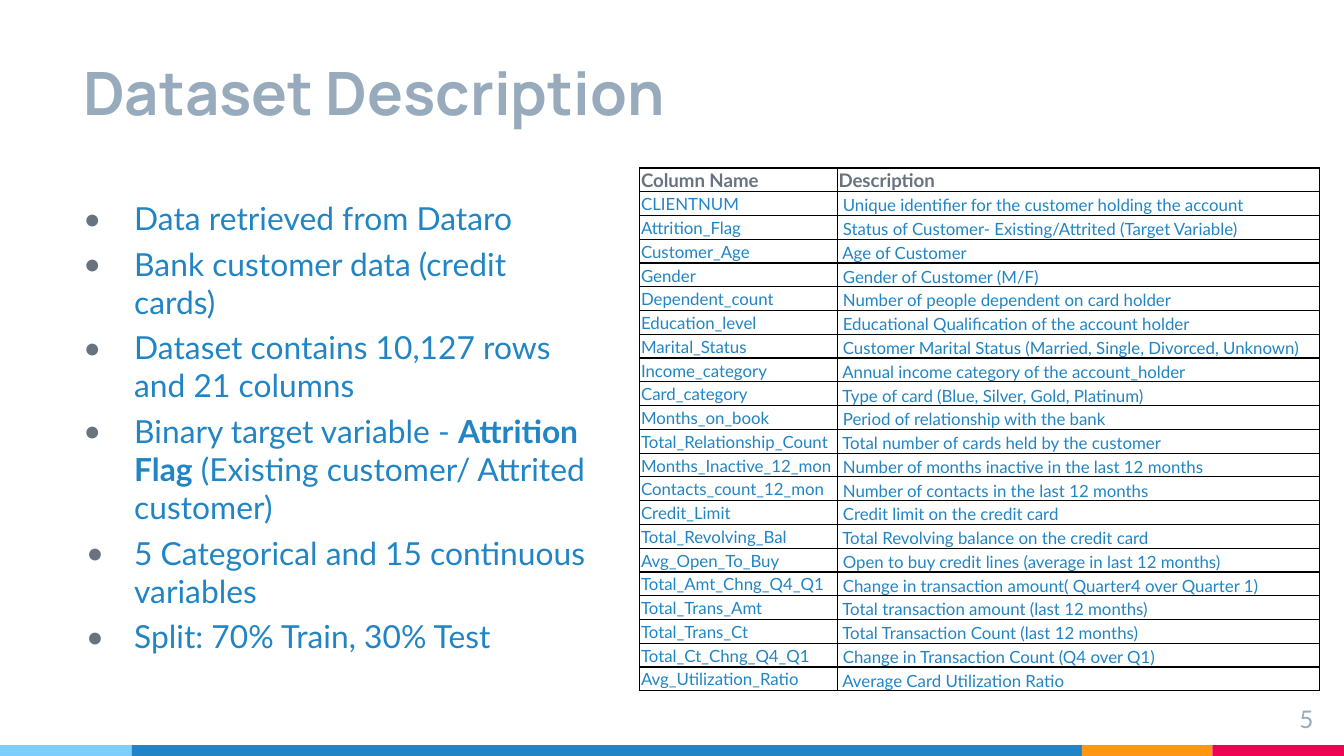
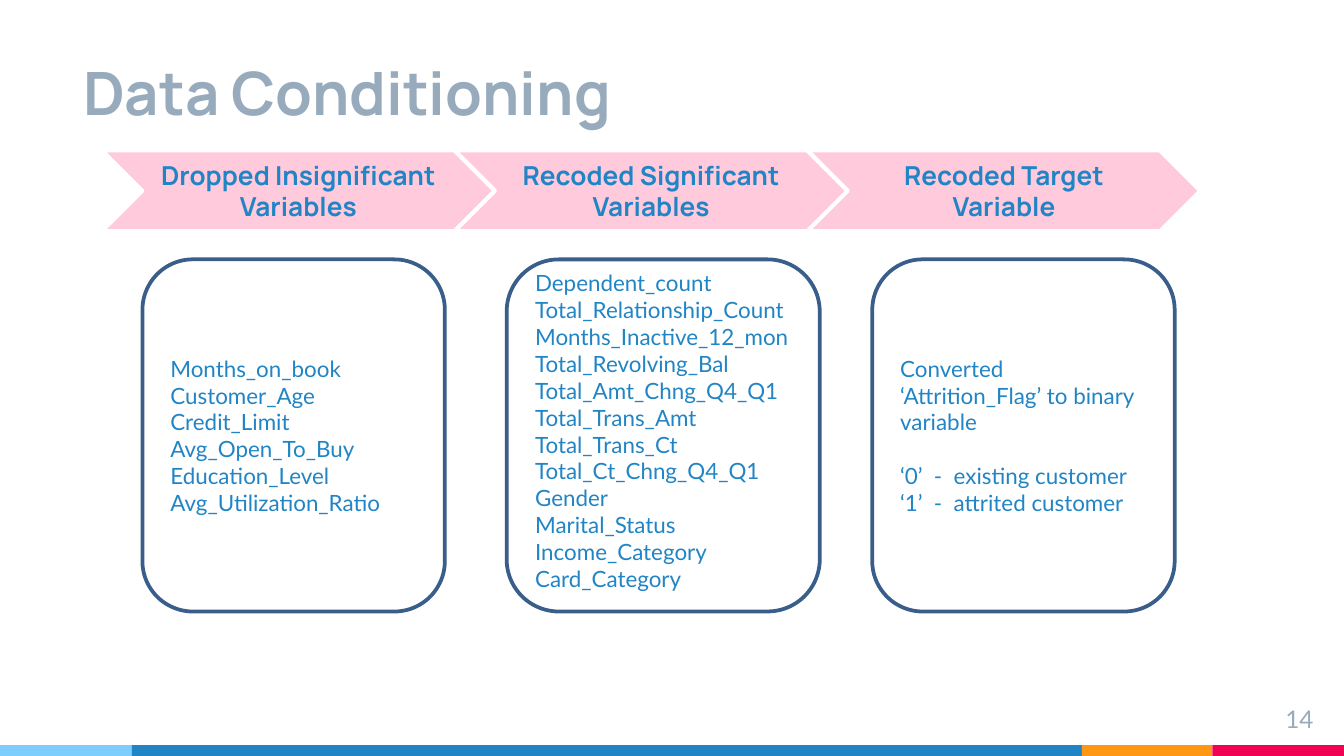
from dataclasses import dataclass

from lxml import etree
from pptx import Presentation
from pptx.dml.color import RGBColor
from pptx.enum import shapes, text
from pptx.oxml import ns
from pptx.util import Inches, Pt


@dataclass(frozen=True)
class Theme:
    blue: str = "2185C5"
    sky: str = "7ECEFD"
    orange: str = "FF9715"
    red: str = "F20253"
    mist: str = "97ABBC"
    slate: str = "677480"
    pink: str = "FFCADC"
    navy: str = "395E89"
    white: str = "FFFFFF"
    black: str = "000000"
    body: str = "Lato"
    heading: str = "Manrope"
    title_size: int = 32
    bullet_size: int = 17
    step_size: int = 14
    number_size: int = 13
    box_size: int = 12
    header_size: int = 10
    cell_size: int = 9


THEME = Theme()

# Shared frame, 16:9
SLIDE_SIZE = (10, 10 * 9 / 16)
BAND = [(THEME.sky, 0.98), (THEME.blue, 7.07), (THEME.orange, 0.97), (THEME.red, 0.98)]
BAND_HEIGHT = 0.08

# Dataset slide: each bullet is (hanging indent, [(words, bold)])
DATASET_BULLETS = [
    (0.38, [("Data retrieved from Dataro", False)]),
    (0.38, [("Bank customer data (credit cards)", False)]),
    (0.38, [("Dataset contains 10,127 rows and 21 columns", False)]),
    (0.38, [("Binary target variable - ", False), ("Attrition Flag", True),
            (" (Existing customer/ Attrited customer)", False)]),
    (0.36, [("5 Categorical and 15 continuous variables", False)]),
    (0.36, [("Split: 70% Train, 30% Test", False)]),
]
DATASET_COLUMNS = [
    ("Column Name", "Description"),
    ("CLIENTNUM", " Unique identifier for the customer holding the account"),
    ("Attrition_Flag", " Status of Customer- Existing/Attrited (Target Variable)"),
    ("Customer_Age", " Age of Customer"),
    ("Gender", " Gender of Customer (M/F)"),
    ("Dependent_count", " Number of people dependent on card holder"),
    ("Education_level", " Educational Qualification of the account holder"),
    ("Marital_Status", " Customer Marital Status (Married, Single, Divorced, Unknown)"),
    ("Income_category", " Annual income category of the account_holder"),
    ("Card_category", " Type of card (Blue, Silver, Gold, Platinum)"),
    ("Months_on_book", " Period of relationship with the bank"),
    ("Total_Relationship_Count", " Total number of cards held by the customer"),
    ("Months_Inactive_12_mon", " Number of months inactive in the last 12 months"),
    ("Contacts_count_12_mon", " Number of contacts in the last 12 months"),
    ("Credit_Limit", " Credit limit on the credit card"),
    ("Total_Revolving_Bal", " Total Revolving balance on the credit card"),
    ("Avg_Open_To_Buy", " Open to buy credit lines (average in last 12 months)"),
    ("Total_Amt_Chng_Q4_Q1", " Change in transaction amount( Quarter4 over Quarter 1)"),
    ("Total_Trans_Amt", " Total transaction amount (last 12 months)"),
    ("Total_Trans_Ct", " Total Transaction Count (last 12 months)"),
    ("Total_Ct_Chng_Q4_Q1", " Change in Transaction Count (Q4 over Q1)"),
    ("Avg_Utilization_Ratio", " Average Card Utilization Ratio"),
]
COLUMN_WIDTHS = (1.47, 3.59)
TABLE_HEIGHT = 3.89

# Conditioning slide: each step has a box made of groups of lines
CONDITIONING_STEPS = [
    {"step": "Dropped Insignificant Variables", "left": 1.06, "width": 2.25, "bottom": 0.05,
     "groups": [["Months_on_book", "Customer_Age", "Credit_Limit", "Avg_Open_To_Buy",
                 "Education_Level", "Avg_Utilization_Ratio"]]},
    {"step": "Recoded Significant Variables", "left": 3.77, "width": 2.33, "bottom": 0.12,
     "groups": [["Dependent_count", "Total_Relationship_Count", "Months_Inactive_12_mon",
                 "Total_Revolving_Bal", "Total_Amt_Chng_Q4_Q1", "Total_Trans_Amt",
                 "Total_Trans_Ct", "Total_Ct_Chng_Q4_Q1", "Gender", "Marital_Status",
                 "Income_Category", "Card_Category"]]},
    {"step": "Recoded Target Variable", "left": 6.49, "width": 2.25, "bottom": 0.05,
     "groups": [["Converted ‘Attrition_Flag’ to binary variable"],
                ["‘0’  -  existing customer", "‘1’  -  attrited customer"]]},
]
STEP_LEFT, STEP_SPAN = 0.76, 5.25
STEP_PITCH = STEP_SPAN / (len(CONDITIONING_STEPS) - 1)
GROUP_GAP = 14.4


# Helpers
def assign(target, values):
    for name, value in values.items():
        setattr(target, name, value)


def margins(left, top, right, bottom):
    sides = ("left", "top", "right", "bottom")
    return {f"margin_{side}": Inches(inset)
            for side, inset in zip(sides, (left, top, right, bottom))}


def write(paragraph, words, size, color, face=THEME.body, bold=False):
    run = paragraph.add_run()
    run.text = words
    assign(run.font, {"size": Pt(size), "name": face, "bold": bold})
    run.font.color.rgb = RGBColor.from_string(color)


def next_paragraph(frame, index):
    return frame.add_paragraph() if index else frame.paragraphs[0]


def add_text_box(slide, at, insets, **layout):
    frame = slide.shapes.add_textbox(*map(Inches, at)).text_frame
    assign(frame, {"word_wrap": True, **margins(*insets), **layout})
    return frame


def add_panel(slide, preset, at, fill, line=None, insets=(0.1,) * 4):
    panel = slide.shapes.add_shape(preset, *map(Inches, at))
    panel.shadow.inherit = False
    panel.fill.solid()
    panel.fill.fore_color.rgb = RGBColor.from_string(fill)
    if line:
        panel.line.color.rgb = RGBColor.from_string(line)
        panel.line.width = Pt(2)
    else:
        panel.line.fill.background()
    assign(panel.text_frame, {"word_wrap": True, "vertical_anchor": text.MSO_ANCHOR.MIDDLE,
                              **margins(*insets)})
    return panel


def add_bullet(paragraph, hang):
    props = paragraph._p.get_or_add_pPr()
    props.set("marL", str(Inches(0.38)))
    props.set("indent", str(-Inches(hang)))
    color = etree.SubElement(props, ns.qn("a:buClr"))
    etree.SubElement(color, ns.qn("a:srgbClr"), val=THEME.slate)
    etree.SubElement(props, ns.qn("a:buFont"), typeface=THEME.body)
    etree.SubElement(props, ns.qn("a:buChar"), char="•")


def add_borders(cell):
    props = cell._tc.get_or_add_tcPr()
    for side in ("lnL", "lnR", "lnT", "lnB"):
        border = etree.SubElement(props, ns.qn(f"a:{side}"), w=str(Pt(0.75)))
        fill = etree.SubElement(border, ns.qn("a:solidFill"))
        etree.SubElement(fill, ns.qn("a:srgbClr"), val=THEME.black)


def add_framed_slide(deck, title, number):
    slide = deck.slides.add_slide(deck.slide_layouts[6])
    # Colour band
    left = 0
    for color, width in BAND:
        add_panel(slide, shapes.MSO_SHAPE.RECTANGLE,
                  (left, SLIDE_SIZE[1] - BAND_HEIGHT, width, BAND_HEIGHT), color)
        left += width
    # Page number and title
    page = add_text_box(slide, (9.27, 5.14, 0.6, 0.34), (0.1,) * 4).paragraphs[0]
    page.alignment = text.PP_ALIGN.RIGHT
    write(page, str(number), THEME.number_size, THEME.mist)
    heading = add_text_box(slide, (0.52, 0.11, 7.07, 0.94), (0.1,) * 4,
                           vertical_anchor=text.MSO_ANCHOR.BOTTOM)
    write(heading.paragraphs[0], title, THEME.title_size, THEME.mist, THEME.heading, True)
    return slide


# Slides
def build_dataset(deck):
    slide = add_framed_slide(deck, "Dataset Description", 5)
    facts = add_text_box(slide, (0.52, 1.43, 3.98, 3.53), (0.1, 0.05, 0.1, 0.05),
                         auto_size=text.MSO_AUTO_SIZE.SHAPE_TO_FIT_TEXT)
    for index, (hang, runs) in enumerate(DATASET_BULLETS):
        fact = next_paragraph(facts, index)
        fact.space_before = Pt(4 if index else 0)
        add_bullet(fact, hang)
        for words, bold in runs:
            write(fact, words, THEME.bullet_size, THEME.blue, bold=bold)

    # Column dictionary
    dictionary = slide.shapes.add_table(
        len(DATASET_COLUMNS), len(COLUMN_WIDTHS), Inches(4.76), Inches(1.25),
        Inches(sum(COLUMN_WIDTHS)), Inches(TABLE_HEIGHT)).table
    assign(dictionary, {"first_row": False, "horz_banding": False})
    for column, width in zip(dictionary.columns, COLUMN_WIDTHS):
        column.width = Inches(width)
    for row, entry in enumerate(DATASET_COLUMNS):
        dictionary.rows[row].height = Inches(TABLE_HEIGHT / len(DATASET_COLUMNS))
        header = row == 0
        for col, words in enumerate(entry):
            cell = dictionary.cell(row, col)
            add_borders(cell)
            cell.fill.background()
            centred = col == 0 and not header
            assign(cell, {
                "vertical_anchor": text.MSO_ANCHOR.MIDDLE if centred else text.MSO_ANCHOR.BOTTOM,
                **margins(0.01, 0.01, 0.01, 0)})
            write(cell.text_frame.paragraphs[0], words,
                  THEME.header_size if header else THEME.cell_size,
                  THEME.slate if header else THEME.blue, bold=header)


def build_conditioning(deck):
    slide = add_framed_slide(deck, "Data Conditioning", 14)
    for index, stage in enumerate(CONDITIONING_STEPS):
        # Step arrow
        arrow = add_panel(slide, shapes.MSO_SHAPE.CHEVRON,
                          (STEP_LEFT + index * STEP_PITCH, 1.12, 2.92, 0.6),
                          THEME.pink, THEME.white)
        label = arrow.text_frame.paragraphs[0]
        label.alignment = text.PP_ALIGN.CENTER
        write(label, stage["step"], THEME.step_size, THEME.blue, THEME.heading, True)
        # Variables box
        box = add_panel(slide, shapes.MSO_SHAPE.ROUNDED_RECTANGLE,
                        (stage["left"], 1.93, stage["width"], 2.62),
                        THEME.white, THEME.navy, (0.1, 0.05, 0.1, stage["bottom"]))
        lines = [(words, group > 0 and position == 0)
                 for group, members in enumerate(stage["groups"])
                 for position, words in enumerate(members)]
        for position, (words, opens_group) in enumerate(lines):
            line = next_paragraph(box.text_frame, position)
            assign(line, {"alignment": text.PP_ALIGN.LEFT,
                          "space_before": Pt(GROUP_GAP if opens_group else 0)})
            write(line, words, THEME.box_size, THEME.blue)


def main():
    deck = Presentation()
    assign(deck, dict(zip(("slide_width", "slide_height"), map(Inches, SLIDE_SIZE))))
    build_dataset(deck)
    build_conditioning(deck)
    deck.save("out.pptx")


if __name__ == "__main__":
    main()
